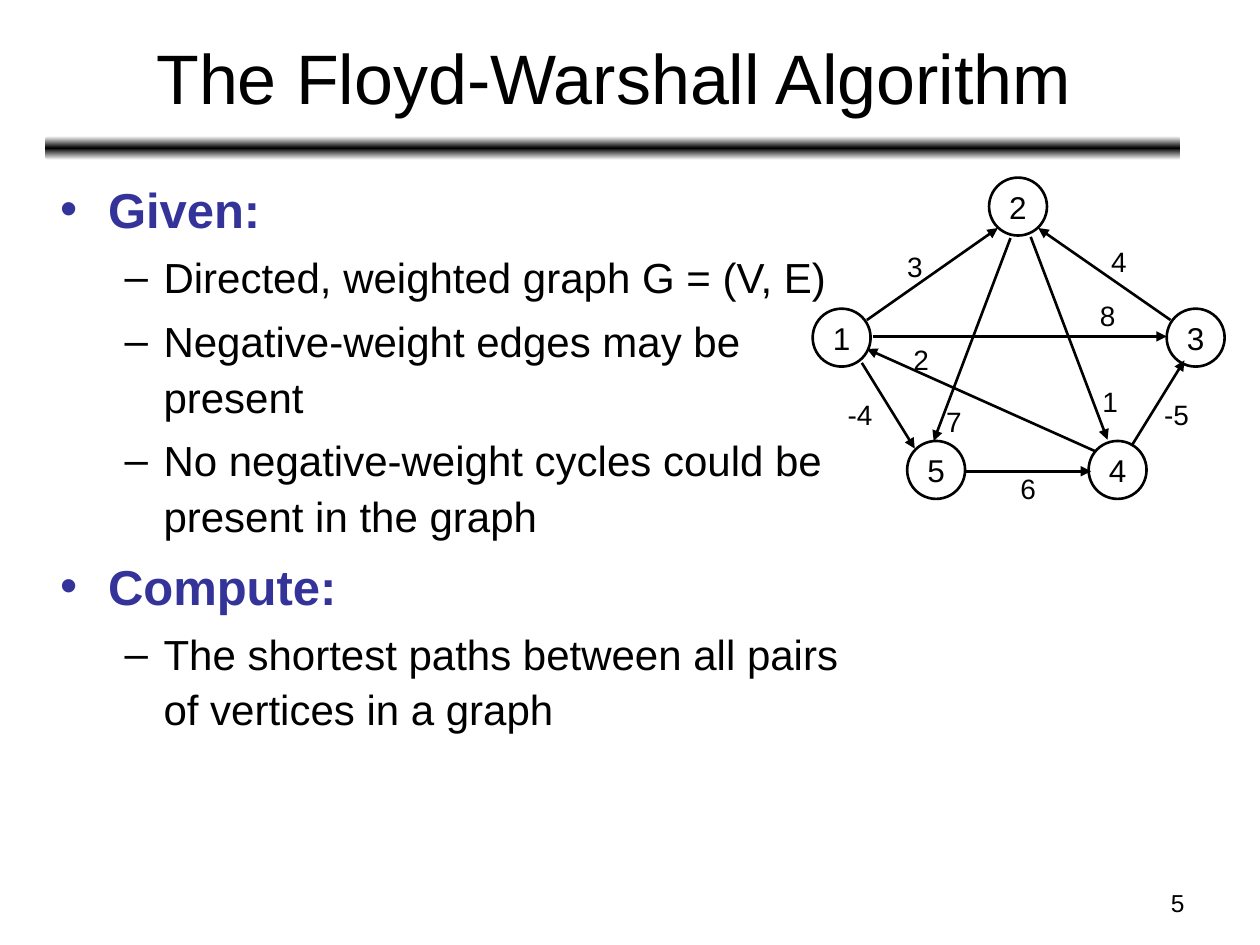
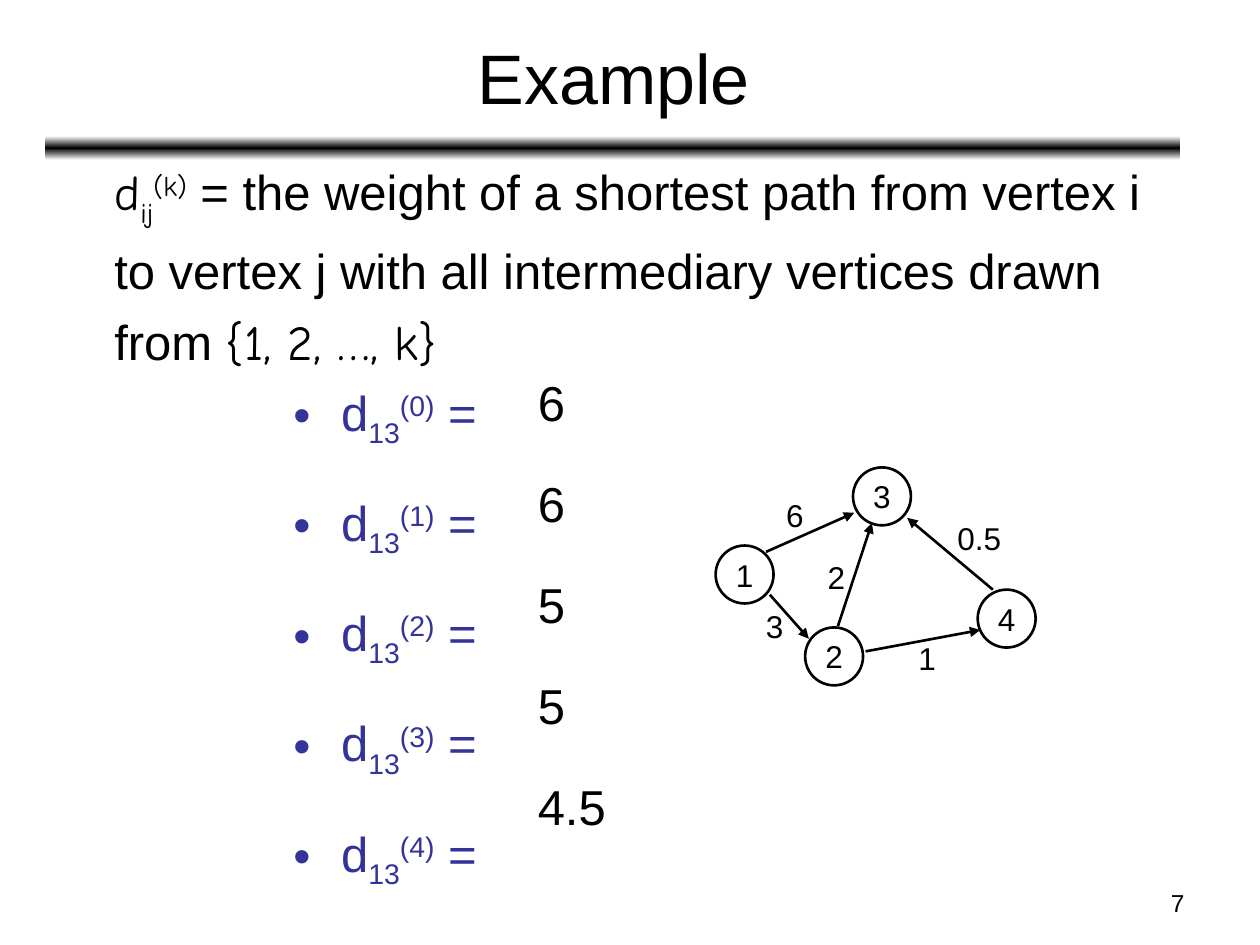
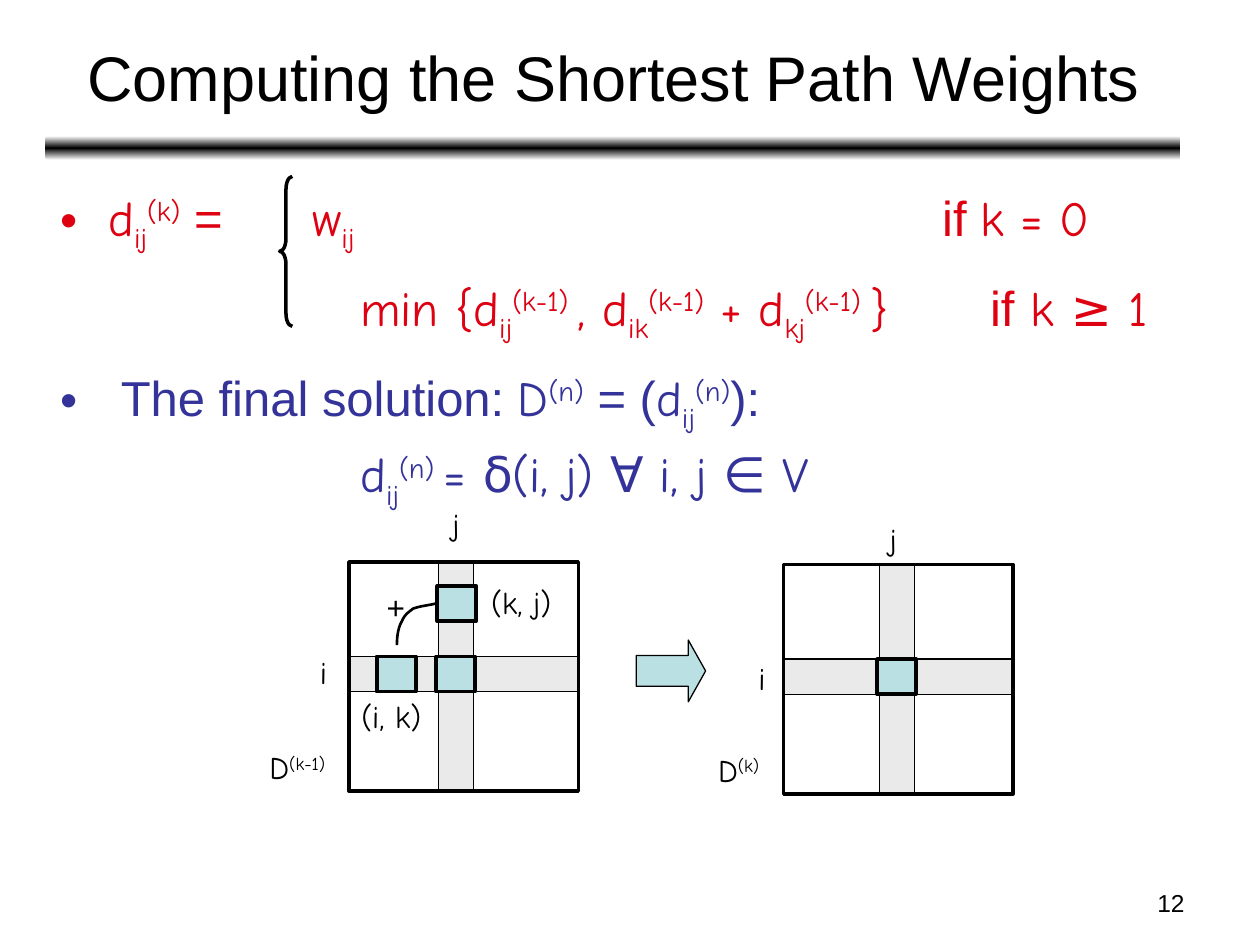
import copy

import pptx
import pptx.dml.color
import pptx.enum.shapes
import pptx.enum.text
import pptx.oxml.ns
import pptx.util
from lxml import etree
from pptx.util import Inches

RGBColor = pptx.dml.color.RGBColor
MSO_SHAPE = pptx.enum.shapes.MSO_SHAPE
PP_ALIGN = pptx.enum.text.PP_ALIGN
MSO_ANCHOR = pptx.enum.text.MSO_ANCHOR
qn = pptx.oxml.ns.qn

BLACK = RGBColor(0x00, 0x00, 0x00)
WHITE = RGBColor(0xFF, 0xFF, 0xFF)
INDIGO = RGBColor(0x33, 0x33, 0x99)
RED = RGBColor(0xDD, 0x01, 0x11)
PALE_GRAY = RGBColor(0xEA, 0xEA, 0xEA)
PALE_TEAL = RGBColor(0xBB, 0xE0, 0xE3)

ARIAL = "Arial"
COMIC = "Comic Neue"
SUB, SUP = -25000, 30000

NODE = 0.46
MATRIX, STRIP = 1.82, 0.28
CELL_WIDTH, CELL_HEIGHT = 0.31, 0.28


# Runs: each is (text, font, baseline)
def arial(text):
    return [(text, ARIAL, 0)]


def comic(text):
    return [(text, COMIC, 0)]


def term(base, sub="", sup="", font=COMIC):
    parts = ((base, font, 0), (sub, font, SUB), (sup, font, SUP))
    return [part for part in parts if part[0]]


# Text
def write(paragraph, runs, size, color=BLACK, bold=False, align=None):
    paragraph.alignment = align
    for text, font, baseline in runs:
        run = paragraph.add_run()
        run.text = text
        run.font.name = font
        run.font.size = pptx.util.Pt(size)
        run.font.bold = bold
        run.font.color.rgb = color
        if baseline:
            run.font._element.set("baseline", str(baseline))


def set_spacing(paragraph, line_spacing=None):
    """Line spacing, with a fifth of a line before the paragraph."""
    paragraph.line_spacing = line_spacing
    before = etree.SubElement(paragraph._p.get_or_add_pPr(), qn("a:spcBef"))
    etree.SubElement(before, qn("a:spcPct")).set("val", "20000")


def set_indent(paragraph, left, hanging, bullet=None):
    """Hanging indent with tab stops one inch apart."""
    properties = paragraph._p.get_or_add_pPr()
    properties.set("marL", str(Inches(left)))
    properties.set("indent", str(-Inches(hanging)))
    properties.set("defTabSz", str(Inches(1)))
    if bullet:
        etree.SubElement(properties, qn("a:buFont")).set("typeface", ARIAL)
        etree.SubElement(properties, qn("a:buChar")).set("char", bullet)


def add_text_frame(slide, left, top, width, height):
    box = slide.shapes.add_textbox(Inches(left), Inches(top), Inches(width), Inches(height))
    box.text_frame.word_wrap = True
    return box.text_frame


def next_paragraph(frame):
    first = frame.paragraphs[0]
    return frame.add_paragraph() if first.runs else first


def add_point(frame, runs, size, color, bullet="•", line_spacing=None, bold=False, level=0):
    paragraph = next_paragraph(frame)
    paragraph.level = level
    set_spacing(paragraph, line_spacing)
    left, hanging = ((0.38, 0.38), (0.82, 0.31))[level]
    set_indent(paragraph, left, hanging, bullet)
    write(paragraph, runs, size, color, bold)


def add_label(slide, runs, left, top, width, height=0.4, size=18):
    frame = add_text_frame(slide, left, top, width, height)
    frame.word_wrap = False
    frame.auto_size = pptx.enum.text.MSO_AUTO_SIZE.SHAPE_TO_FIT_TEXT
    write(frame.paragraphs[0], runs, size)


# Shapes
def style(shape, fill, line_width):
    shape.shadow.inherit = False
    if fill is None:
        shape.fill.background()
    else:
        shape.fill.solid()
        shape.fill.fore_color.rgb = fill
    shape.line.color.rgb = BLACK
    shape.line.width = pptx.util.Pt(line_width)


def add_figure(slide, kind, left, top, width, height, fill=None, line_width=2):
    figure = slide.shapes.add_shape(
        kind, Inches(left), Inches(top), Inches(width), Inches(height))
    style(figure, fill, line_width)
    return figure


def add_node(slide, name, left, top):
    node = add_figure(slide, MSO_SHAPE.OVAL, left, top, NODE, NODE, line_width=1.5)
    frame = node.text_frame
    frame.word_wrap = False
    frame.vertical_anchor = MSO_ANCHOR.MIDDLE
    write(frame.paragraphs[0], arial(name), 18, align=PP_ALIGN.CENTER)


def add_edge(slide, x1, y1, x2, y2):
    edge = slide.shapes.add_connector(
        pptx.enum.shapes.MSO_CONNECTOR.STRAIGHT,
        Inches(x1), Inches(y1), Inches(x2), Inches(y2))
    edge.line.color.rgb = BLACK
    edge.line.width = pptx.util.Pt(1.5)
    etree.SubElement(edge.line._get_or_add_ln(), qn("a:tailEnd")).set("type", "triangle")
    etree.SubElement(edge._element.spPr, qn("a:effectLst"))


def add_graph(slide, nodes, edges, weights, weight_size):
    for name, left, top in nodes:
        add_node(slide, name, left, top)
    for edge in edges:
        add_edge(slide, *edge)
    height = 0.37 if weight_size == 16 else 0.4
    for weight, left, top, width in weights:
        add_label(slide, arial(weight), left, top, width, height, weight_size)


def add_curve(slide, start, segments, steps=6):
    """Open outline through cubic segments (control, control, end)."""
    points, begin = [], start
    for c1, c2, end in segments:
        for step in range(1, steps + 1):
            t = step / steps
            u = 1 - t
            points.append(tuple(
                Inches(u**3 * a + 3 * u * u * t * b + 3 * u * t * t * c + t**3 * d)
                for a, b, c, d in zip(begin, c1, c2, end)))
        begin = end
    builder = slide.shapes.build_freeform(Inches(start[0]), Inches(start[1]))
    builder.add_line_segments(points, close=False)
    style(builder.convert_to_shape(), None, 1.5)


def add_matrix(slide, left, top, row_offset, column_offset):
    add_figure(slide, MSO_SHAPE.RECTANGLE, left, top + row_offset,
               MATRIX, STRIP, PALE_GRAY, 0.75)
    add_figure(slide, MSO_SHAPE.RECTANGLE, left + column_offset, top,
               STRIP, MATRIX, PALE_GRAY, 0.75)
    add_figure(slide, MSO_SHAPE.RECTANGLE, left, top, MATRIX, MATRIX)


def add_cell(slide, left, top):
    add_figure(slide, MSO_SHAPE.RECTANGLE, left, top, CELL_WIDTH, CELL_HEIGHT, PALE_TEAL)


# Shared by all slides: band, number, title
def add_band(slide):
    band = add_figure(slide, MSO_SHAPE.ROUNDED_RECTANGLE, 0.36, 1.08, 9.01, 0.19)
    band.line.fill.background()
    band.fill.gradient()
    band.fill.gradient_angle = 90
    outer, middle = band.fill.gradient_stops
    outer.color.rgb, outer.position = WHITE, 0
    middle.color.rgb, middle.position = BLACK, 0.5
    stops = band._element.spPr.find(qn("a:gradFill")).find(qn("a:gsLst"))
    last = copy.deepcopy(stops[0])
    last.set("pos", "100000")
    stops.append(last)


def start_slide(deck, title, number, title_size=40):
    slide = deck.slides.add_slide(deck.slide_layouts[6])
    add_band(slide)
    number_frame = add_text_frame(slide, 7.17, 7, 2.33, 0.35)
    write(number_frame.paragraphs[0], arial(number), 14, align=PP_ALIGN.RIGHT)
    title_frame = add_text_frame(slide, 0.37, 0.11, 9, 0.99)
    title_frame.vertical_anchor = MSO_ANCHOR.MIDDLE
    write(title_frame.paragraphs[0], arial(title), title_size, align=PP_ALIGN.CENTER)
    return slide


# Slides
def build_problem(deck):
    slide = start_slide(deck, "The Floyd-Warshall Algorithm", "5")
    frame = add_text_frame(slide, 0.38, 1.33, 6.4, 5.55)
    sections = (
        ("Given:", ("Directed, weighted graph G = (V, E)",
                    "Negative-weight edges may be present",
                    "No negative-weight cycles could be present in the graph")),
        ("Compute:", ("The shortest paths between all pairs of vertices in a graph",)),
    )
    for heading, details in sections:
        add_point(frame, arial(heading), 28, INDIGO, line_spacing=1.1, bold=True)
        for detail in details:
            add_point(frame, arial(detail), 24, BLACK, "–", 1.1, level=1)

    nodes = (("1", 6.45, 2.45), ("2", 7.85, 1.41), ("3", 9.26, 2.45),
             ("5", 7.2, 3.5), ("4", 8.64, 3.5))
    edges = ((6.88, 2.54, 7.92, 1.81), (6.84, 2.88, 7.26, 3.56),
             (7.67, 3.74, 8.66, 3.74), (8.18, 1.88, 8.79, 3.49),
             (8.69, 3.58, 6.88, 2.77), (9.29, 2.54, 8.24, 1.81),
             (8.02, 1.89, 7.41, 3.5), (8.98, 3.54, 9.4, 2.86),
             (6.93, 2.67, 9.26, 2.67))
    weights = (("3", 7.1, 1.93, 0.32), ("-4", 6.63, 3.11, 0.4),
               ("7", 7.41, 3.16, 0.32), ("6", 8, 3.69, 0.32),
               ("2", 7.15, 2.67, 0.32), ("4", 8.72, 1.89, 0.32),
               ("1", 8.65, 3, 0.32), ("-5", 9.14, 3.11, 0.4),
               ("8", 8.63, 2.32, 0.32))
    add_graph(slide, nodes, edges, weights, 16)


def build_example(deck):
    slide = start_slide(deck, "Example", "7")
    distances = add_text_frame(slide, 2.23, 2.72, 2, 4.07)
    for k, (value, width) in enumerate(
            (("6", 0.42), ("6", 0.42), ("5", 0.42), ("5", 0.42), ("4.5", 0.74))):
        add_point(distances, term("d", "13", f"({k})", ARIAL) + arial(" ="),
                  28, INDIGO, line_spacing=1.5)
        add_label(slide, arial(value), 4.17, 2.91 + 0.8 * k, width, 0.57, 28)

    nodes = (("1", 5.68, 4.33), ("3", 6.77, 3.71), ("4", 7.76, 4.68), ("2", 6.39, 4.98))
    edges = ((6.08, 4.38, 6.78, 4.07), (6.11, 4.72, 6.42, 5.07),
             (6.87, 5.17, 7.78, 5), (7.88, 4.68, 7.2, 4.11),
             (6.65, 4.97, 6.92, 4.15))
    weights = (("3", 5.98, 4.77, 0.34), ("1", 7.19, 5.02, 0.34),
               ("6", 6.14, 3.89, 0.34), ("0.5", 7.5, 4.07, 0.55),
               ("2", 6.47, 4.38, 0.34))
    add_graph(slide, nodes, edges, weights, 18)

    definition = add_text_frame(slide, 0.81, 1.13, 8.47, 1.78).paragraphs[0]
    set_spacing(definition, 1.2)
    write(definition, term("d", "ij", "(k)")
          + arial(" = the weight of a shortest path from vertex i to vertex j"
                  " with all intermediary vertices drawn from ")
          + comic("{1, 2, …, k}"), 28)


def build_weights(deck):
    slide = start_slide(deck, "Computing the Shortest Path Weights", "12", 36)

    # Recurrence and final solution
    frame = add_text_frame(slide, 0.38, 1.33, 9, 2.96)
    base_case = (term("d", "ij", "(k)") + arial(" = \t") + term("w", "ij")
                 + arial("\t\t\t\t\tif ") + comic("k = 0"))
    recursive_case = (term("\t\t\tmin {d", "ij", "(k-1) ") + term(", d", "ik", "(k-1)")
                      + term(" + d", "kj", "(k-1) ") + comic("}\t")
                      + arial("if") + comic(" k ≥ 1"))
    solution = (arial(" The final solution: ") + term("D", sup="(n)") + arial(" = (")
                + term("d", "ij", "(n)") + arial("):"))
    meaning = term("\t\t\td", "ij", "(n) ") + comic("= δ(i, j) ∀ i, j ∈ V")
    add_point(frame, base_case, 28, RED, line_spacing=1.2)
    add_point(frame, recursive_case, 28, RED, None, 1.2)
    add_point(frame, solution, 28, INDIGO, line_spacing=1.2)
    add_point(frame, meaning, 28, INDIGO, None)
    brace = add_figure(slide, MSO_SHAPE.LEFT_BRACE, 2.22, 1.4, 0.1, 1.19)
    brace.adjustments[0] = 1.018

    # Matrices before and after step k
    add_matrix(slide, 2.77, 4.46, 0.75, 0.71)
    add_matrix(slide, 6.22, 4.48, 0.75, 0.76)
    for left, top in ((2.99, 5.21), (3.47, 4.65), (3.46, 5.21), (6.96, 5.23)):
        add_cell(slide, left, top)
    step_arrow = add_figure(slide, MSO_SHAPE.RIGHT_ARROW, 5.05, 5.08, 0.55, 0.49,
                            PALE_TEAL, 0.75)
    step_arrow.adjustments[1] = 0.28
    add_curve(slide, (3.15, 5.12), (
        ((3.15, 5.05), (3.16, 4.98), (3.19, 4.93)),
        ((3.21, 4.88), (3.24, 4.86), (3.28, 4.83)),
        ((3.33, 4.81), (3.43, 4.8), (3.46, 4.79))))

    for runs, left, top, width in (
            (comic("j"), 3.49, 3.96, 0.3), (comic("j"), 6.96, 4.08, 0.3),
            (comic("i"), 2.44, 5.13, 0.27), (comic("i"), 5.92, 5.18, 0.27),
            (term("D", sup="(k-1)"), 2.04, 5.89, 0.74),
            (term("D", sup="(k)"), 5.6, 5.91, 0.59),
            (arial("+"), 2.97, 4.62, 0.35),
            (comic("(i, k)"), 2.77, 5.48, 0.73),
            (comic("(k, j)"), 3.8, 4.58, 0.77)):
        add_label(slide, runs, left, top, width)


def main():
    deck = pptx.Presentation()
    deck.slide_width, deck.slide_height = Inches(10), Inches(7.5)
    build_problem(deck)
    build_example(deck)
    build_weights(deck)
    deck.save("out.pptx")


if __name__ == "__main__":
    main()
